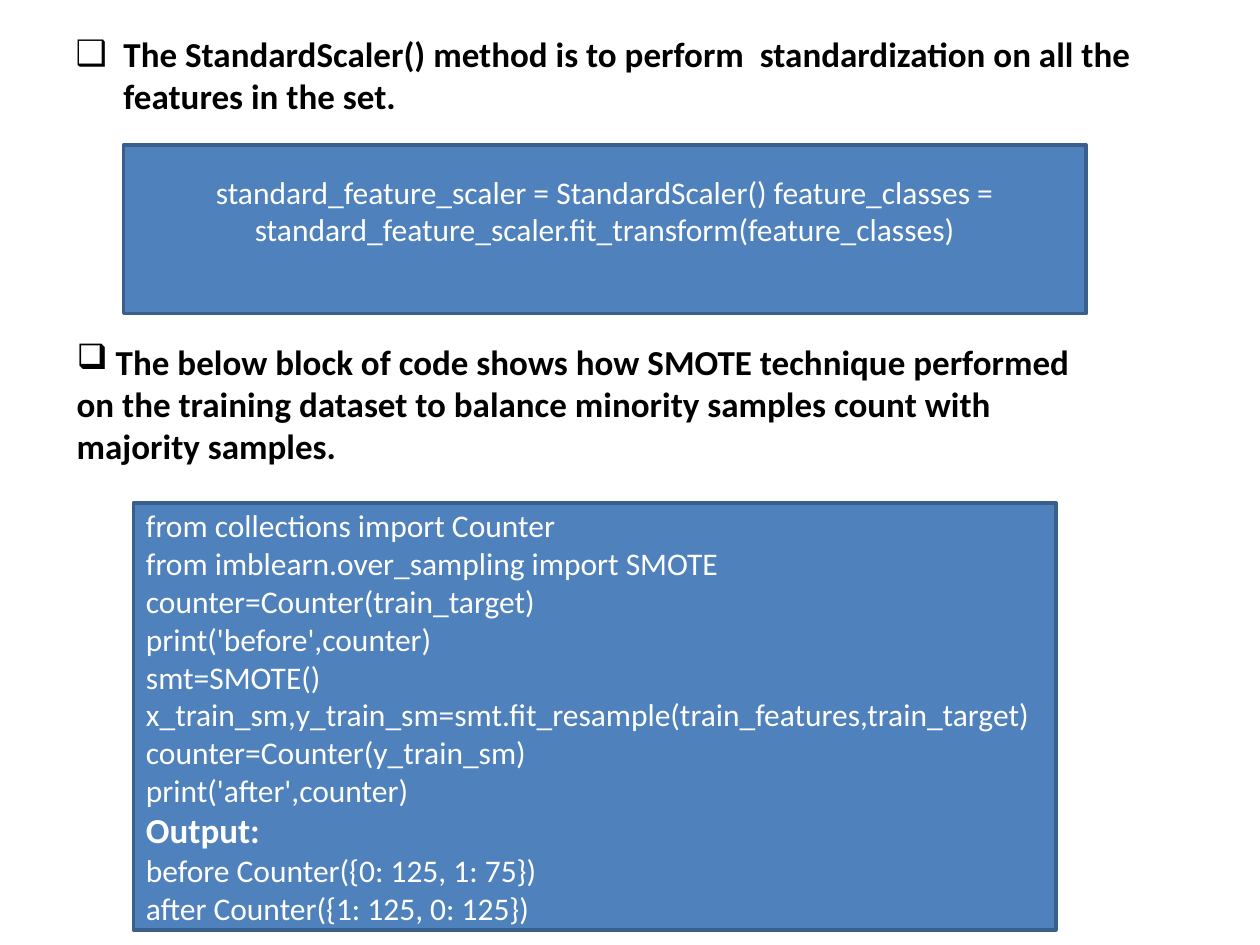
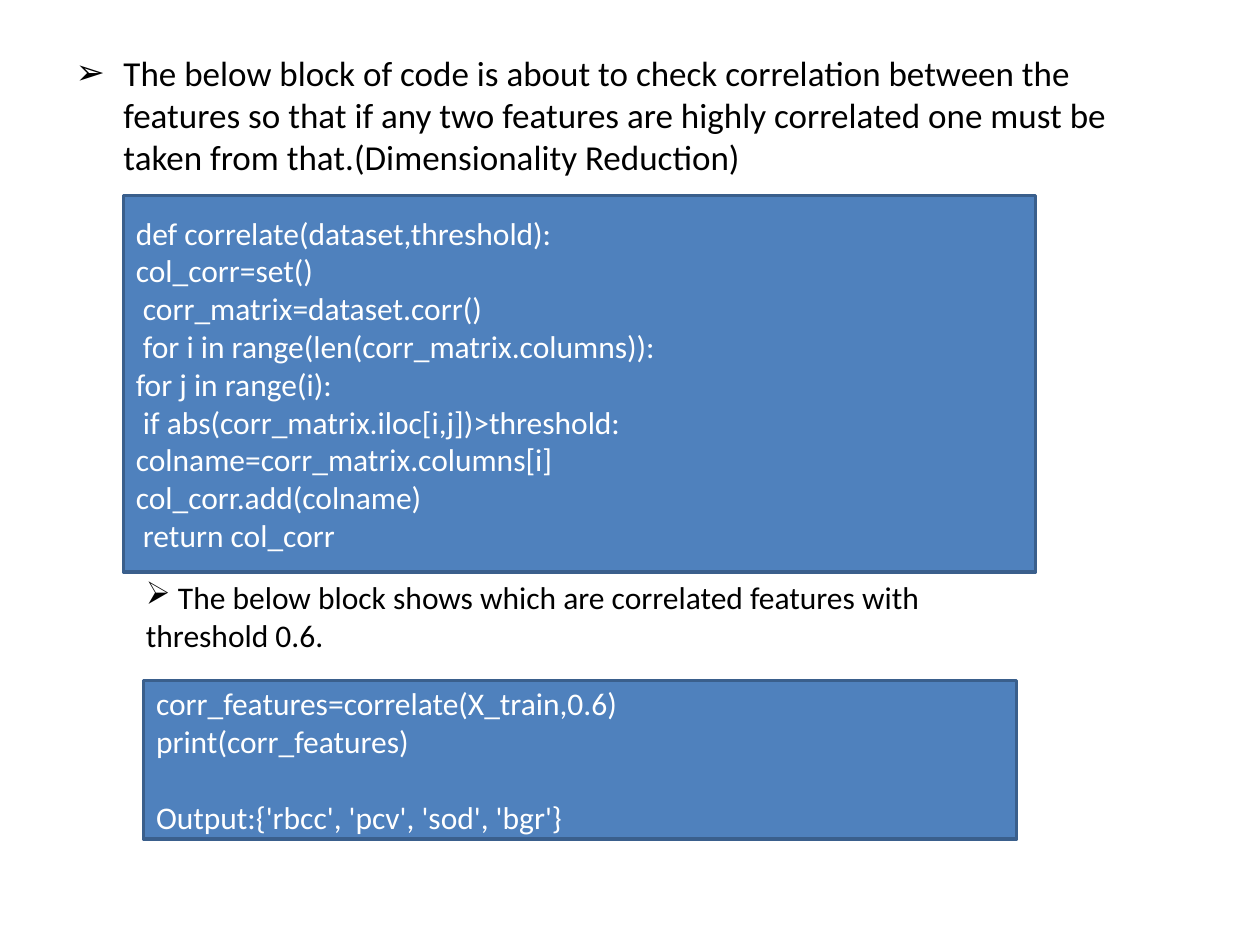
from dataclasses import dataclass

from lxml.etree import SubElement
from pptx import Presentation
from pptx.dml.color import RGBColor
from pptx.enum.shapes import MSO_SHAPE
from pptx.enum.text import MSO_ANCHOR as Anchor, MSO_AUTO_SIZE as AutoSize, PP_ALIGN as Align
from pptx.oxml.ns import qn
from pptx.slide import Slide
from pptx.text.text import TextFrame, _Paragraph as Paragraph
from pptx.util import Inches, Pt

COLORS = {"text": "000000", "code": "FFFFFF", "box": "4F81BD", "edge": "3A5F8C"}
FONT = "Calibri"
CODE_SIZE = 18
HEADING_SIZE = 20
BODY_INDENT = 0.38


@dataclass
class Box:
    left: float
    top: float
    width: float
    height: float

    def lengths(self) -> tuple:
        return tuple(Inches(v) for v in (self.left, self.top, self.width, self.height))


@dataclass
class Bullet:
    box: Box
    mark: str
    text: str
    size: int = HEADING_SIZE
    bold: bool = False


@dataclass
class CodeLine:
    text: str
    size: int = CODE_SIZE
    bold: bool = False
    gap_before: float = 0


@dataclass
class CodeBox:
    box: Box
    lines: list[CodeLine]
    align: Align = Align.LEFT
    bottom_inset: float = 0.05


@dataclass
class Page:
    body: Bullet
    note: Bullet
    code_boxes: list[CodeBox]


def rgb(name: str) -> RGBColor:
    return RGBColor.from_string(COLORS[name])


def code(text: str) -> list[CodeLine]:
    return [CodeLine(line) for line in text.strip("\n").split("\n")]


def add_run(p: Paragraph, text: str, size: int, color: str, bold: bool) -> None:
    r = p.add_run()
    r.text = text
    r.font.name = FONT
    r.font.size = Pt(size)
    r.font.bold = bold
    r.font.color.rgb = rgb(color)


def write_bullet(tf: TextFrame, bullet: Bullet, indent: float) -> None:
    tf.word_wrap = True
    p = tf.paragraphs[0]
    pPr = p._p.get_or_add_pPr()
    pPr.set("marL", str(Inches(indent)))
    pPr.set("indent", str(-Inches(indent)))
    SubElement(pPr, qn("a:buChar")).set("char", bullet.mark)
    add_run(p, bullet.text, bullet.size, "text", bullet.bold)


def add_body(s: Slide, bullet: Bullet) -> None:
    title = s.shapes.title
    title.element.getparent().remove(title.element)
    sp = s.placeholders[1]
    sp.left, sp.top, sp.width, sp.height = bullet.box.lengths()
    sp.text_frame.auto_size = AutoSize.NONE
    write_bullet(sp.text_frame, bullet, BODY_INDENT)


def add_note(s: Slide, bullet: Bullet) -> None:
    sp = s.shapes.add_textbox(*bullet.box.lengths())
    sp.text_frame.auto_size = AutoSize.SHAPE_TO_FIT_TEXT
    write_bullet(sp.text_frame, bullet, 0)


def add_code_box(s: Slide, block: CodeBox) -> None:
    sp = s.shapes.add_shape(MSO_SHAPE.RECTANGLE, *block.box.lengths())
    sp.shadow.inherit = False
    sp.fill.solid()
    sp.fill.fore_color.rgb = rgb("box")
    sp.line.color.rgb = rgb("edge")
    sp.line.width = Pt(2)
    tf = sp.text_frame
    tf.word_wrap = True
    tf.vertical_anchor = Anchor.MIDDLE
    tf.margin_bottom = Inches(block.bottom_inset)
    for i, line in enumerate(block.lines):
        p = tf.add_paragraph() if i else tf.paragraphs[0]
        p.alignment = block.align
        p.space_before = Pt(line.gap_before)
        add_run(p, line.text, line.size, "code", line.bold)


SMOTE_CODE = """
from collections import Counter
from imblearn.over_sampling import SMOTE
counter=Counter(train_target)
print('before',counter)
smt=SMOTE()
x_train_sm,y_train_sm=smt.fit_resample(train_features,train_target)
counter=Counter(y_train_sm)
print('after',counter)
"""

SMOTE_OUTPUT = """
before Counter({0: 125, 1: 75})
after Counter({1: 125, 0: 125})
"""

CORRELATE_CODE = """
def correlate(dataset,threshold):
col_corr=set()
 corr_matrix=dataset.corr()
 for i in range(len(corr_matrix.columns)):
for j in range(i):
 if abs(corr_matrix.iloc[i,j])>threshold:
colname=corr_matrix.columns[i]
col_corr.add(colname)
 return col_corr
"""

FEATURES_CODE = """
corr_features=correlate(X_train,0.6)
print(corr_features)
"""

PAGES = [
    Page(
        body=Bullet(
            Box(0.5, 0.21, 9, 7.09), "❑",
            "The StandardScaler() method is to perform  standardization "
            "on all the features in the set.", bold=True),
        note=Bullet(
            Box(0.51, 2.65, 8.35, 1.11), "❑",
            " The below block of code shows how SMOTE technique performed on the training "
            "dataset to balance minority samples count with majority samples.", bold=True),
        code_boxes=[
            CodeBox(
                Box(0.98, 1.15, 7.64, 1.34),
                code("standard_feature_scaler = StandardScaler() feature_classes = "
                     "standard_feature_scaler.fit_transform(feature_classes)"),
                Align.CENTER, bottom_inset=0.35),
            CodeBox(
                Box(1.06, 3.99, 7.32, 3.39),
                code(SMOTE_CODE) + [CodeLine("Output:", HEADING_SIZE, True)]
                + code(SMOTE_OUTPUT)),
        ]),
    Page(
        body=Bullet(
            Box(0.5, 0.36, 9, 6.34), "➢",
            "The below block of code is about to check correlation between the features "
            "so that if any two features are highly correlated one must be taken from "
            "that.(Dimensionality Reduction)"),
        note=Bullet(
            Box(1.06, 4.54, 6.46, 0.71), "➢",
            " The below block shows which are correlated features with threshold 0.6.",
            CODE_SIZE),
        code_boxes=[
            CodeBox(Box(0.98, 1.55, 7.24, 2.99), code(CORRELATE_CODE)),
            CodeBox(
                Box(1.14, 5.4, 6.93, 1.26),
                code(FEATURES_CODE)
                + [CodeLine("Output:{'rbcc', 'pcv', 'sod', 'bgr'}", gap_before=22)]),
        ]),
]


def main() -> None:
    prs = Presentation()
    prs.slide_width, prs.slide_height = Inches(10), Inches(7.5)
    for page in PAGES:
        s = prs.slides.add_slide(prs.slide_layouts[1])
        add_body(s, page.body)
        for block in page.code_boxes:
            add_code_box(s, block)
        add_note(s, page.note)
    prs.save("out.pptx")


if __name__ == "__main__":
    main()
